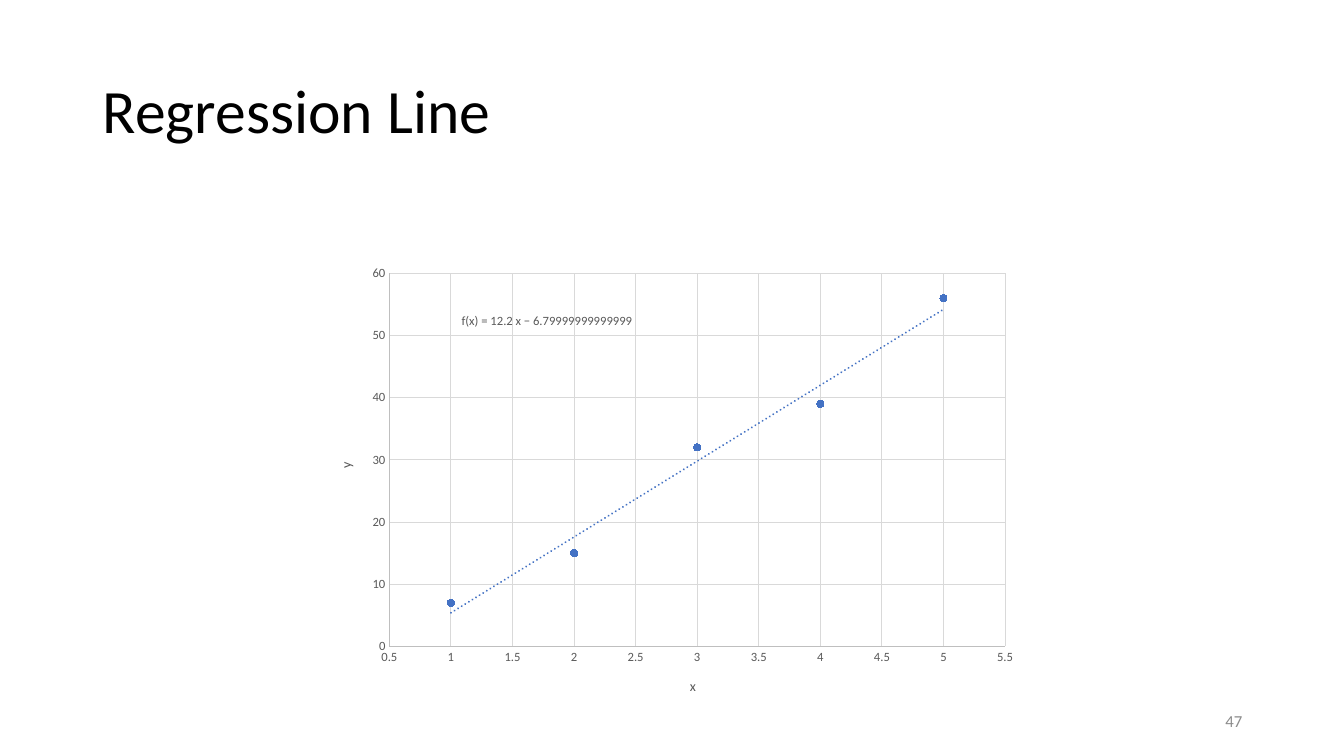
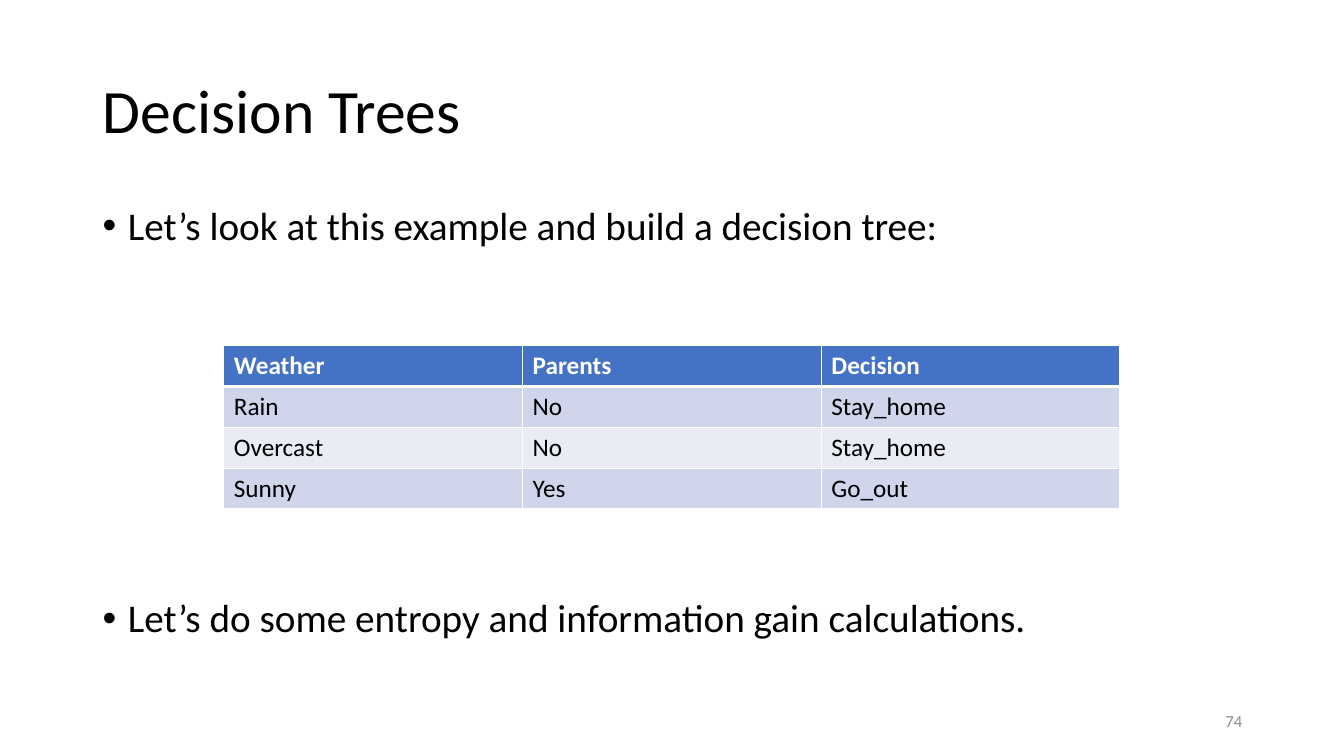
from dataclasses import dataclass

from lxml import etree
from pptx import Presentation
from pptx.chart.data import XyChartData
from pptx.dml.color import RGBColor
from pptx.enum.chart import XL_CHART_TYPE as ChartType
from pptx.enum.chart import XL_MARKER_STYLE as MarkerStyle
from pptx.enum.chart import XL_TICK_MARK as TickMark
from pptx.enum.text import MSO_ANCHOR, PP_ALIGN
from pptx.oxml import parse_xml
from pptx.oxml.ns import nsdecls, qn
from pptx.util import Inches, Pt


@dataclass(frozen=True)
class Theme:
    font: str = "Calibri"
    ink: str = "000000"
    white: str = "FFFFFF"
    accent: str = "4472C4"
    bands: tuple = ("CFD5EA", "E9EBF5")
    page_number: str = "8C8C8C"
    chart_text: str = "595959"
    axis: str = "BFBFBF"
    grid: str = "D9D9D9"
    title_size: int = 44
    body_size: int = 28
    table_size: int = 18
    number_size: int = 12
    axis_title_size: int = 10
    label_size: int = 9


THEME = Theme()

REGRESSION = {
    "title": "Regression Line",
    "number": 47,
    "points": [(1, 7), (2, 15), (3, 32), (4, 39), (5, 56)],
    "x_axis": ("x", 0.5, 5.5, 0.5),
    "y_axis": ("y", 0, 60, 10),
    "formula": "f(x) = 12.2 x − 6.79999999999999",
}
DECISION = {
    "title": "Decision Trees",
    "number": 74,
    "bullets": [
        ("Let’s look at this example and build a decision tree:", 10),
        ("Let’s do some entropy and information gain calculations.", 250),
    ],
    "rows": [
        ("Weather", "Parents", "Decision"),
        ("Rain", "No", "Stay_home"),
        ("Overcast", "No", "Stay_home"),
        ("Sunny", "Yes", "Go_out"),
    ],
}


def box(left, top, width, height):
    return Inches(left), Inches(top), Inches(width), Inches(height)


def style_font(font, size, color, bold=False):
    font.name = THEME.font
    font.size = Pt(size)
    font.bold = bold
    font.color.rgb = RGBColor.from_string(color)


def style_line(line, color, width=0.75):
    line.color.rgb = RGBColor.from_string(color)
    line.width = Pt(width)


def add_label(slide, place, text, size, color, alignment):
    frame = slide.shapes.add_textbox(*box(*place)).text_frame
    frame.word_wrap = True
    frame.vertical_anchor = MSO_ANCHOR.MIDDLE
    frame.text = text
    label = frame.paragraphs[0]
    label.alignment = alignment
    style_font(label.runs[0].font, size, color)


def add_titled_slide(deck, content):
    slide = deck.slides.add_slide(deck.slide_layouts[5])
    title = slide.shapes.title
    title.left, title.top, title.width, title.height = box(0.92, 0.4, 11.5, 1.45)
    title.text_frame.text = content["title"]
    title.text_frame.vertical_anchor = MSO_ANCHOR.MIDDLE
    heading = title.text_frame.paragraphs[0]
    heading.alignment = PP_ALIGN.LEFT
    heading.line_spacing = 0.9
    style_font(heading.runs[0].font, THEME.title_size, THEME.ink)
    add_label(slide, (9.42, 6.95, 3, 0.4), str(content["number"]),
              THEME.number_size, THEME.page_number, PP_ALIGN.RIGHT)
    return slide


def style_axis(axis, title, low, high, step):
    axis.minimum_scale, axis.maximum_scale, axis.major_unit = low, high, step
    axis.major_tick_mark = axis.minor_tick_mark = TickMark.NONE
    axis.has_major_gridlines = True
    style_line(axis.major_gridlines.format.line, THEME.grid)
    style_line(axis.format.line, THEME.axis)
    style_font(axis.tick_labels.font, THEME.label_size, THEME.chart_text)
    axis.tick_labels.number_format = "General"
    axis.tick_labels.number_format_is_linked = False
    caption = axis.axis_title.text_frame
    caption.text = title
    style_font(caption.paragraphs[0].runs[0].font, THEME.axis_title_size, THEME.chart_text)


def add_trendline(series):
    trendline = parse_xml(f"""
        <c:trendline {nsdecls("c", "a")}>
          <c:spPr><a:ln w="{Pt(1.5)}" cap="rnd">
            <a:solidFill><a:srgbClr val="{THEME.accent}"/></a:solidFill>
            <a:prstDash val="sysDot"/></a:ln></c:spPr>
          <c:trendlineType val="linear"/>
          <c:dispRSqr val="0"/><c:dispEq val="0"/>
        </c:trendline>""")
    series._element.find(qn("c:xVal")).addprevious(trendline)


def place_plot(chart, **fractions):
    plot_area = chart._chartSpace.find(".//" + qn("c:plotArea"))
    for automatic in plot_area.findall(qn("c:layout")):
        plot_area.remove(automatic)
    values = "".join(f'<c:{key} val="{value}"/>' for key, value in fractions.items())
    plot_area.insert(0, parse_xml(
        f'<c:layout {nsdecls("c")}><c:manualLayout><c:layoutTarget val="inner"/>'
        f'<c:xMode val="edge"/><c:yMode val="edge"/>{values}'
        f'</c:manualLayout></c:layout>'))


def add_regression_chart(slide, content):
    data = XyChartData()
    observations = data.add_series("Series 1")
    for x, y in content["points"]:
        observations.add_data_point(x, y)
    chart = slide.shapes.add_chart(
        ChartType.XY_SCATTER, *box(3.16, 2.53, 7.02, 4.57), data).chart
    chart.has_legend = False
    chart.has_title = False
    style_font(chart.font, THEME.axis_title_size, THEME.ink)
    style_axis(chart.category_axis, *content["x_axis"])
    style_axis(chart.value_axis, *content["y_axis"])
    y_caption = chart.value_axis.axis_title.text_frame
    y_caption._txBody.find(qn("a:bodyPr")).set("rot", "-5400000")

    plot = chart.plots[0]
    plot.vary_by_categories = False
    series = plot.series[0]
    series.smooth = False
    series.format.line.fill.background()
    series.marker.style = MarkerStyle.CIRCLE
    series.marker.size = 5
    series.marker.format.fill.solid()
    series.marker.format.fill.fore_color.rgb = RGBColor.from_string(THEME.accent)
    style_line(series.marker.format.line, THEME.accent)
    add_trendline(series)
    place_plot(chart, x=0.1, y=0.04, w=0.87, h=0.81)
    add_label(slide, (4.48, 3.03, 2.2, 0.3), content["formula"],
              THEME.label_size, THEME.chart_text, PP_ALIGN.LEFT)


def add_bullets(slide, bullets):
    body = slide.shapes.add_textbox(*box(0.92, 2, 11.5, 4.76)).text_frame
    body.word_wrap = True
    for index, (text, gap) in enumerate(bullets):
        bullet = body.add_paragraph() if index else body.paragraphs[0]
        bullet.text = text
        bullet.line_spacing = 0.9
        bullet.space_before = Pt(gap)
        style_font(bullet.runs[0].font, THEME.body_size, THEME.ink)
        properties = bullet._p.get_or_add_pPr()
        properties.set("marL", str(Inches(0.25)))
        properties.set("indent", str(-Inches(0.25)))
        etree.SubElement(properties, qn("a:buFont")).set("typeface", "Arial")
        etree.SubElement(properties, qn("a:buChar")).set("char", "•")


def set_borders(cell, widths):
    properties = cell._tc.get_or_add_tcPr()
    for side, width in widths.items():
        properties.append(parse_xml(
            f'<a:ln{side} {nsdecls("a")} w="{Pt(width)}"><a:solidFill>'
            f'<a:srgbClr val="{THEME.white}"/></a:solidFill></a:ln{side}>'))


def add_decision_table(slide, rows):
    table = slide.shapes.add_table(
        len(rows), len(rows[0]), *box(2.22, 3.43, 8.89, 1.62)).table
    for row_index, row in enumerate(rows):
        header = row_index == 0
        fill = THEME.accent if header else THEME.bands[(row_index - 1) % 2]
        for column_index, text in enumerate(row):
            cell = table.cell(row_index, column_index)
            cell.text_frame.text = text
            style_font(cell.text_frame.paragraphs[0].runs[0].font, THEME.table_size,
                       THEME.white if header else THEME.ink, header)
            set_borders(cell, {"L": 1, "R": 1, "T": 3 if row_index == 1 else 1,
                               "B": 3 if header else 1})
            cell.fill.solid()
            cell.fill.fore_color.rgb = RGBColor.from_string(fill)


def main():
    deck = Presentation()
    deck.slide_width, deck.slide_height = Inches(13.33), Inches(7.5)
    add_regression_chart(add_titled_slide(deck, REGRESSION), REGRESSION)
    decision_slide = add_titled_slide(deck, DECISION)
    add_bullets(decision_slide, DECISION["bullets"])
    add_decision_table(decision_slide, DECISION["rows"])
    deck.save("out.pptx")


if __name__ == "__main__":
    main()
